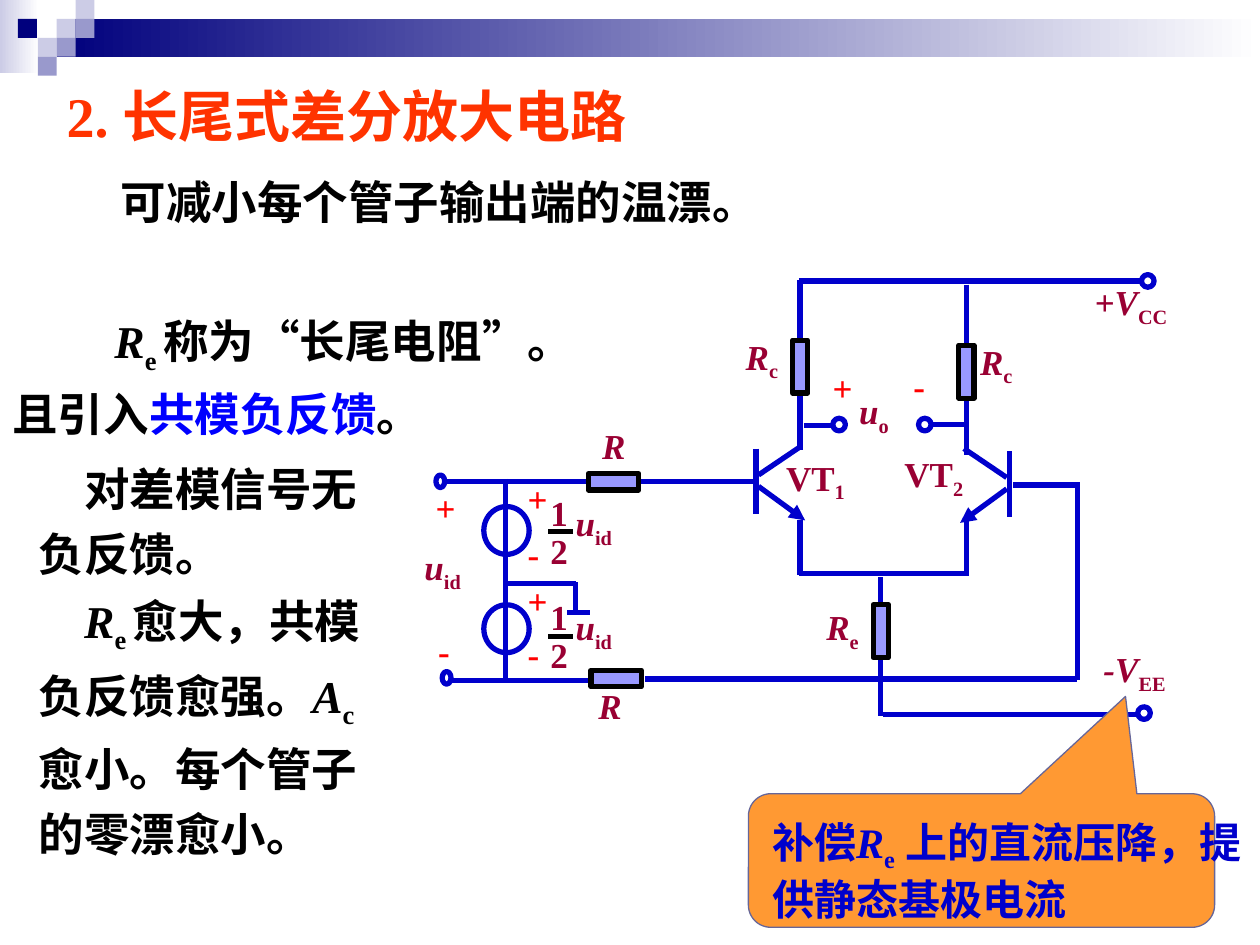
from dataclasses import dataclass
from typing import Any

from lxml.etree import SubElement
from pptx import Presentation
from pptx.dml.color import RGBColor
from pptx.enum.shapes import MSO_CONNECTOR, MSO_SHAPE
from pptx.oxml.ns import qn
from pptx.util import Inches, Pt

LATIN = "Times New Roman"
CHINESE = "Noto Sans CJK SC"
WIRE, MAROON, RED, BLACK = "0000CC", "990033", "FF0000", "000000"
PLAIN, ITALIC, SUB, QUOTE, KEY = "plain", "italic", "sub", "quote", "key"


def color(value):
    return RGBColor.from_string(value)


@dataclass
class Region:
    page: Any
    left: float
    top: float

    def place(self, x, y):
        return Inches(self.left + x), Inches(self.top + y)

    def wire(self, x1, y1, x2, y2, stroke=WIRE, arrow=False):
        line = self.page.shapes.add_connector(
            MSO_CONNECTOR.STRAIGHT, *self.place(x1, y1), *self.place(x2, y2))
        line.line.color.rgb = color(stroke)
        line.line.width = Pt(3)
        if arrow:
            SubElement(line.line._get_or_add_ln(), qn("a:tailEnd"), type="triangle")
        SubElement(line._element.spPr, qn("a:effectLst"))

    def shape(self, kind, x, y, width, height, fill=None, stroke=None, weight=3):
        item = self.page.shapes.add_shape(
            kind, *self.place(x, y), Inches(width), Inches(height))
        item.shadow.inherit = False
        if fill:
            item.fill.solid()
            item.fill.fore_color.rgb = color(fill)
        else:
            item.fill.background()
        if stroke:
            item.line.color.rgb = color(stroke)
            item.line.width = Pt(weight)
        else:
            item.line.fill.background()
        return item

    def text(self, x, y, width, height, paras, size, ink, spacing=None, indent=0):
        box = self.page.shapes.add_textbox(
            *self.place(x, y), Inches(width), Inches(height))
        frame = box.text_frame
        frame.word_wrap = True
        for index, spans in enumerate(paras):
            para = frame.paragraphs[0] if index == 0 else frame.add_paragraph()
            if spacing:
                para.line_spacing = spacing
            if indent:
                para._p.get_or_add_pPr().set("indent", str(Inches(indent)))
            for words, style in spans:
                add_span(para, words, style, size, ink)

    def label(self, x, y, words, sub="", ink=MAROON, style=ITALIC, width=0.6):
        spans = [(words, style)] + ([(sub, SUB)] if sub else [])
        self.text(x, y, width, 0.43, [spans], 20, ink)

    def terminal(self, x, y, width=0.1):
        self.shape(MSO_SHAPE.OVAL, x, y, width, 0.1, stroke=WIRE)

    def resistor(self, x, y, width=0.12, height=0.42):
        self.shape(MSO_SHAPE.RECTANGLE, x, y, width, height, "9999FF", BLACK)


def add_span(para, words, style, size, ink):
    span = para.add_run()
    span.text = words
    font = span.font
    font.size, font.bold = Pt(size), True
    font.italic = style == ITALIC
    font.name = CHINESE if style == QUOTE else LATIN
    font.color.rgb = color("0000FF" if style == KEY else ink)
    properties = font._element
    SubElement(properties, qn("a:ea"), typeface=CHINESE)
    if style == SUB:
        properties.set("baseline", "-25000")


def draw_masthead(region):
    for x, y, width, height, start in [(0, 0, 0.31, 0.58, "CCCCE6"),
                                       (0.45, 0.15, 9.55, 0.3, "00007D")]:
        band = region.shape(MSO_SHAPE.RECTANGLE, x, y, width, height)
        band.fill.gradient()
        band.fill.gradient_angle = 0
        for stop, value in zip(band.fill.gradient_stops, (start, "FFFFFF")):
            stop.color.rgb = color(value)
    side = 0.15
    tiles = {"CCCCE6": [(3, 1), (4, 0), (2, 2)],
             "9999CC": [(4, 1), (3, 2), (2, 3)],
             "00007D": [(0.95, 1)]}
    for fill, cells in tiles.items():
        for column, row in cells:
            region.shape(MSO_SHAPE.RECTANGLE, column * side, row * side, side, side, fill)


def draw_transistor(region, x, y, way):
    region.wire(x, y, x, y + 0.52)
    region.wire(x + way * 0.02, y + 0.3, x + way * 0.39, y + 0.57, arrow=True)
    region.wire(x + way * 0.02, y + 0.21, x + way * 0.36, y - 0.02)


def draw_amplifier(region):
    draw_transistor(region, 0.18, 1.38, 1)
    draw_transistor(region, 2.19, 1.4, -1)
    for x, y in [(0.53, 0.04), (1.85, 0.08)]:
        region.wire(x, y, x, y + 0.48)
        region.wire(x, y + 0.91, x, y + 1.35)
        region.wire(x, 1.95, x, 2.38)
        region.resistor(x - 0.06, y + 0.48)
    wires = [(0.52, 2.37, 1.87, 2.37), (0.56, 1.2, 0.8, 1.2), (1.85, 1.19, 1.57, 1.19),
             (2.22, 1.67, 2.75, 1.67), (2.73, 1.67, 2.73, 3.22), (1.17, 2.4, 1.17, 3.5),
             (0.52, 0.05, 3.26, 0.05), (1.19, 3.49, 3.22, 3.49)]
    for ends in wires:
        region.wire(*ends)
    region.resistor(1.11, 2.62)
    for x, y in [(0.79, 1.14), (1.47, 1.14), (3.24, 0), (3.21, 3.43)]:
        region.terminal(x, y)
    for x, y, sign in [(0.69, 0.68, "+"), (1.33, 0.66, "-")]:
        region.label(x, y, sign, ink=RED, style=PLAIN, width=0.4)
    for x, y, words, sub in [(0.9, 0.86, "u", "o"), (0, 0.43, "R", "c"),
                             (1.86, 0.47, "R", "c"), (0.64, 2.58, "R", "e")]:
        region.label(x, y, words, sub)
    for x, y, sub in [(0.32, 1.39, "1"), (1.26, 1.36, "2")]:
        region.label(x, y, "VT", sub, style=PLAIN, width=0.83)
    for x, y, words, sub in [(2.77, 0, "+V", "CC"), (2.84, 2.91, "-V", "EE")]:
        region.label(x, y, words, sub, width=1)


def draw_half_source(region, y, plus_y, minus_y, circle_y):
    region.shape(MSO_SHAPE.OVAL, 0.57, circle_y, 0.36, 0.38, stroke=WIRE)
    for sign_y, sign in [(plus_y, "+"), (minus_y, "-")]:
        region.label(0.82, sign_y, sign, ink=RED, style=PLAIN, width=0.4)
    for offset, digit in [(0, "1"), (0.3, "2")]:
        region.label(1, y + offset, digit, style=PLAIN, width=0.46)
    region.wire(1.08, y + 0.37, 1.28, y + 0.37, BLACK)
    region.label(1.2, y + 0.08, "u", "id")


def draw_input(region):
    wires = [(1.82, 0.5, 2.74, 0.5), (1.85, 2.07, 5.28, 2.07), (0.27, 0.5, 1.41, 0.5),
             (0.29, 2.08, 1.43, 2.08), (0.74, 0.48, 0.74, 2.06), (0.75, 1.31, 1.3, 1.31),
             (1.3, 1.3, 1.3, 1.53), (1.23, 1.54, 1.41, 1.54)]
    for ends in wires:
        region.wire(*ends)
    for x, y in [(0.19, 0.45), (0.24, 2.01)]:
        region.terminal(x, y, 0.07)
    draw_half_source(region, 0.53, 0.42, 0.86, 0.7)
    draw_half_source(region, 1.36, 1.23, 1.65, 1.48)
    for x, y, sign in [(0.09, 0.49, "+"), (0.11, 1.63, "-")]:
        region.label(x, y, sign, ink=RED, style=PLAIN, width=0.4)
    region.label(0, 0.96, "u", "id")
    for x, y, label_x, label_y in [(1.4, 0.44, 1.41, 0), (1.42, 2, 1.38, 2.06)]:
        region.resistor(x, y, 0.4, 0.13)
        region.label(label_x, label_y, "R", width=0.48)


def draw_callout(region):
    bubble = region.shape(MSO_SHAPE.ROUNDED_RECTANGULAR_CALLOUT, 0, 0, 3.7, 1.06,
                          "FF9933", "666699", 0.75)
    for index, value in enumerate((0.309, -1.229, 0.167)):
        bubble.adjustments[index] = value
    region.text(0.09, 0.13, 3.97, 0.9, [[
        ("补偿", PLAIN), ("R", ITALIC), ("e", SUB),
        (" 上的直流压降，提供静态基极电流", PLAIN)]], 24, WIRE)


def draw_explanation(region):
    region.text(0.43, 0, 5.3, 0.64, [[("2. 长尾式差分放大电路", PLAIN)]], 32, "FF3300")
    region.text(0.86, 0.73, 6.25, 0.53, [[("可减小每个管子输出端的温漂。", PLAIN)]], 26, BLACK)
    region.text(0, 1.74, 4.75, 1.14, [[
        ("R", ITALIC), ("e ", SUB), ("称为", PLAIN), ("“", QUOTE), ("长尾电阻", PLAIN),
        ("”", QUOTE), ("。且引入", PLAIN), ("共模负反馈", KEY), ("。", PLAIN)]],
        26, BLACK, 1.2, 0.81)
    region.text(0.21, 2.92, 2.92, 3.23, [
        [("对差模信号无负反馈。", PLAIN)],
        [("R", ITALIC), ("e ", SUB), ("愈大，共模负反馈愈强。", PLAIN), ("A", ITALIC),
         ("c ", SUB), ("愈小。每个管子的零漂愈小。", PLAIN)]], 26, BLACK, 1.2, 0.36)


def main():
    deck = Presentation()
    deck.slide_width, deck.slide_height = Inches(10), Inches(7.5)
    page = deck.slides.add_slide(deck.slide_layouts[6])
    draw_masthead(Region(page, 0, 0))
    draw_amplifier(Region(page, 5.82, 2.18))
    draw_input(Region(page, 3.27, 3.32))
    draw_callout(Region(page, 5.94, 6.3))
    draw_explanation(Region(page, 0, 0.6))
    deck.save("out.pptx")


if __name__ == "__main__":
    main()
